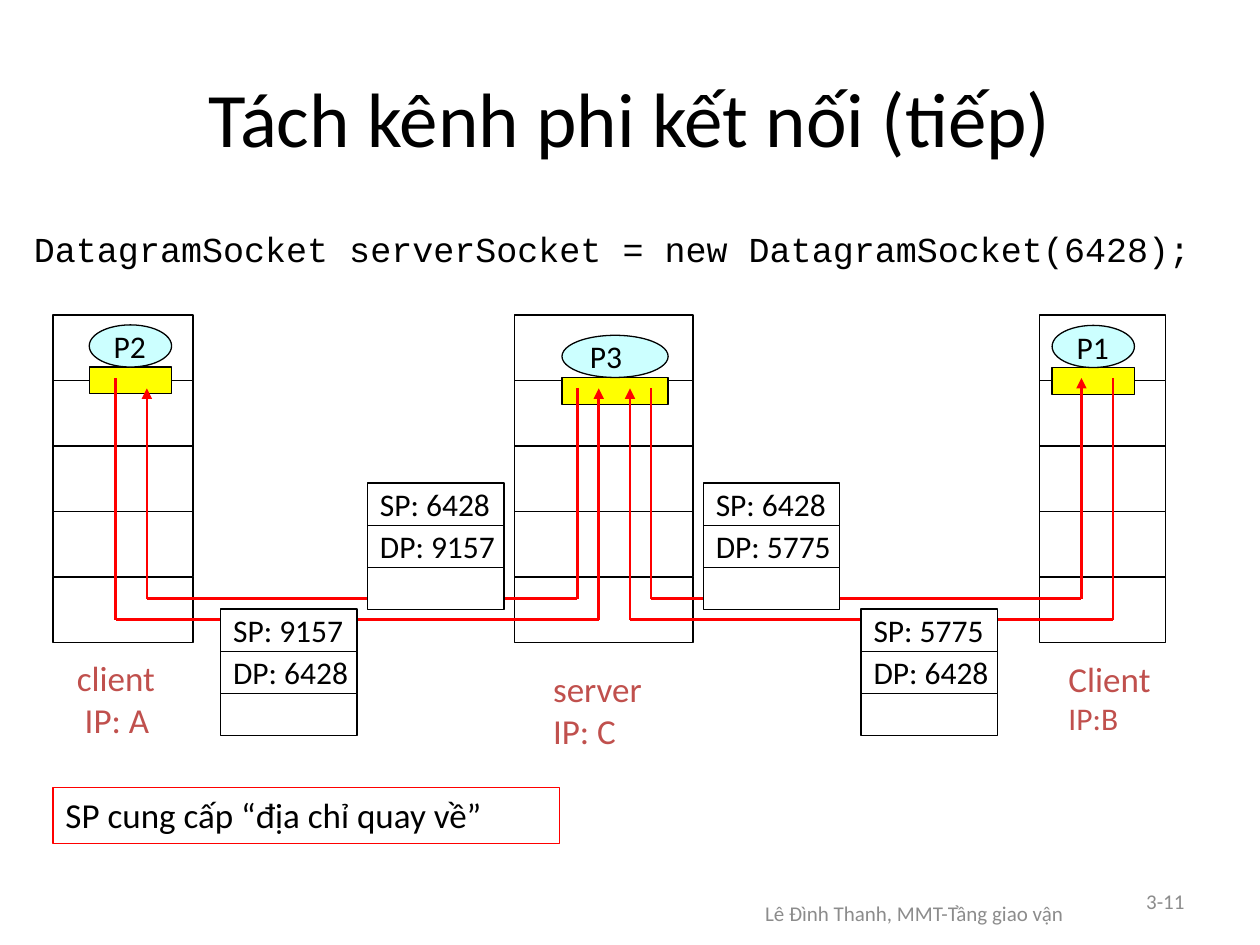
"""Build the slide on connectionless demultiplexing."""
from itertools import pairwise

from lxml.etree import SubElement
from pptx import Presentation
from pptx.dml.color import RGBColor
from pptx.enum.shapes import MSO_CONNECTOR as Link, MSO_SHAPE as Preset
from pptx.enum.text import MSO_ANCHOR as Anchor, MSO_AUTO_SIZE as Fit, PP_ALIGN as Align
from pptx.oxml.ns import qn
from pptx.util import Cm, Pt

COLORS = {"ink": "000000", "paper": "FFFFFF", "process": "CCFFFF", "socket": "FFFF00",
          "path": "FF0000", "host": "C0504D", "footer": "8C8C8C"}

TITLE = "Tách kênh phi kết nối (tiếp)"
CODE = "DatagramSocket serverSocket = new DatagramSocket(6428);"
NOTE = "SP cung cấp “địa chỉ quay về”"

FOOTERS = [
    ("Lê Đình Thanh, MMT-Tầng giao vận", (13.77, 17.78, 9.32, 1.27), Align.CENTER),
    ("3-11", (18.2, 17.65, 5.93, 1.02), Align.RIGHT),
]
HOSTS = [
    {"left": 1.07, "width": 2.82, "process": ("P2", 1.8, 6.55, 1.66),
     "label": [("client", 20), (" IP: A", 20)], "place": (1.3, 13.11, 2.41, 1.96)},
    {"left": 20.96, "width": 2.54, "process": ("P1", 21.21, 6.56, 1.66),
     "label": [("Client", 20), ("IP:B", 18)], "place": (21.29, 13.13, 2.41, 1.78)},
    {"left": 10.37, "width": 3.6, "process": ("P3", 11.33, 6.76, 2.14),
     "label": [("server", 20), ("IP: C", 20)], "place": (10.9, 13.34, 2.67, 1.96)},
]
HOST_TOP, LAYER_HEIGHT, LAYERS = 6.35, 1.32, 5
PROCESS_HEIGHT, SOCKET_HEIGHT = 0.85, 0.54

REQUEST_LEVEL, REPLY_LEVEL = 12.49, 12.07
ROUTES = [
    (2.33, 7.62, REQUEST_LEVEL, 12.07, 7.83),
    (11.64, 7.83, REPLY_LEVEL, 2.96, 7.83),
    (22.44, 7.62, REQUEST_LEVEL, 12.7, 7.83),
    (13.12, 7.83, REPLY_LEVEL, 21.8, 7.62),
]
SEGMENTS = [
    (7.41, 9.74, ("SP: 6428", "DP: 9157", "")),
    (4.45, 12.28, ("SP: 9157", "DP: 6428", "")),
    (14.18, 9.74, ("SP: 6428", "DP: 5775", "")),
    (17.36, 12.28, ("SP: 5775", "DP: 6428", "")),
]
FIELD_WIDTH, FIELD_HEIGHT = 2.75, 0.85


def color(name):
    return RGBColor.from_string(COLORS[name])


def write(box, lines, ink="ink", font="Calibri", align=Align.LEFT, anchor=Anchor.MIDDLE, wrap=False):
    frame = box.text_frame
    frame.auto_size = Fit.NONE
    frame.word_wrap = wrap
    frame.vertical_anchor = anchor
    for index, (text, size) in enumerate(lines):
        para = frame.add_paragraph() if index else frame.paragraphs[0]
        para.alignment = align
        para.space_before = Pt(0)
        span = para.add_run()
        span.text = text
        span.font.name = font
        span.font.size = Pt(size)
        span.font.color.rgb = color(ink)


def add_box(page, preset, place, fill=None, line="ink"):
    box = page.shapes.add_shape(preset, *map(Cm, place))
    box.shadow.inherit = False
    if fill:
        box.fill.solid()
        box.fill.fore_color.rgb = color(fill)
    else:
        box.fill.background()
    box.line.color.rgb = color(line)
    box.line.width = Pt(0.75)
    return box


def add_text(page, place, lines, **style):
    write(page.shapes.add_textbox(*map(Cm, place)), lines, **style)


def place_holder(holder, place):
    holder.left, holder.top, holder.width, holder.height = map(Cm, place)


def add_host(page, host):
    for layer in range(LAYERS):
        top = HOST_TOP + layer * LAYER_HEIGHT
        add_box(page, Preset.RECTANGLE, (host["left"], top, host["width"], LAYER_HEIGHT), "paper")
    name, left, top, width = host["process"]
    add_box(page, Preset.RECTANGLE, (left, top + PROCESS_HEIGHT, width, SOCKET_HEIGHT), "socket")
    process = add_box(page, Preset.OVAL, (left, top, width, PROCESS_HEIGHT), "process")
    write(process, [(name, 18)])
    add_text(page, host["place"], host["label"], ink="host", anchor=Anchor.TOP)


def add_route(page, start, start_top, level, end, end_top):
    corners = [(start, start_top), (start, level), (end, level), (end, end_top)]
    for begin, finish in pairwise(corners):
        line = page.shapes.add_connector(Link.STRAIGHT, *map(Cm, begin + finish))
        line.line.color.rgb = color("path")
        line.line.width = Pt(1.5)
        properties = line._element.spPr
        SubElement(properties, qn("a:effectLst"))
    SubElement(properties.find(qn("a:ln")), qn("a:tailEnd"), type="triangle")


def add_segment(page, left, top, fields):
    for row, text in enumerate(fields):
        place = (left, top + row * FIELD_HEIGHT, FIELD_WIDTH, FIELD_HEIGHT)
        field = add_box(page, Preset.RECTANGLE, place, "paper")
        if text:
            write(field, [(text, 18)])


def main():
    deck = Presentation()
    deck.slide_width, deck.slide_height = Cm(25.4), Cm(19.05)
    page = deck.slides.add_slide(deck.slide_layouts[1])

    for text, place, align in FOOTERS:
        add_text(page, place, [(text, 12)], ink="footer", align=align, wrap=True)

    title, body = page.placeholders
    place_holder(title, (1.27, 0.76, 22.86, 3.18))
    write(title, [(TITLE, 44)], align=Align.CENTER, wrap=True)
    place_holder(body, (0.43, 4.45, 24.13, 1.7))
    properties = body.text_frame.paragraphs[0]._p.get_or_add_pPr()
    properties.set("marL", str(Cm(0.95)))
    properties.set("indent", str(-Cm(0.95)))
    SubElement(properties, qn("a:buNone"))
    write(body, [(CODE, 20)], font="Courier New", anchor=Anchor.TOP, wrap=True)

    for host in HOSTS:
        add_host(page, host)
    for route in ROUTES:
        add_route(page, *route)
    for segment in SEGMENTS:
        add_segment(page, *segment)

    note = add_box(page, Preset.RECTANGLE, (1.07, 15.88, 10.21, 1.12), line="path")
    write(note, [(NOTE, 20)], anchor=Anchor.TOP)
    deck.save("out.pptx")


if __name__ == "__main__":
    main()
